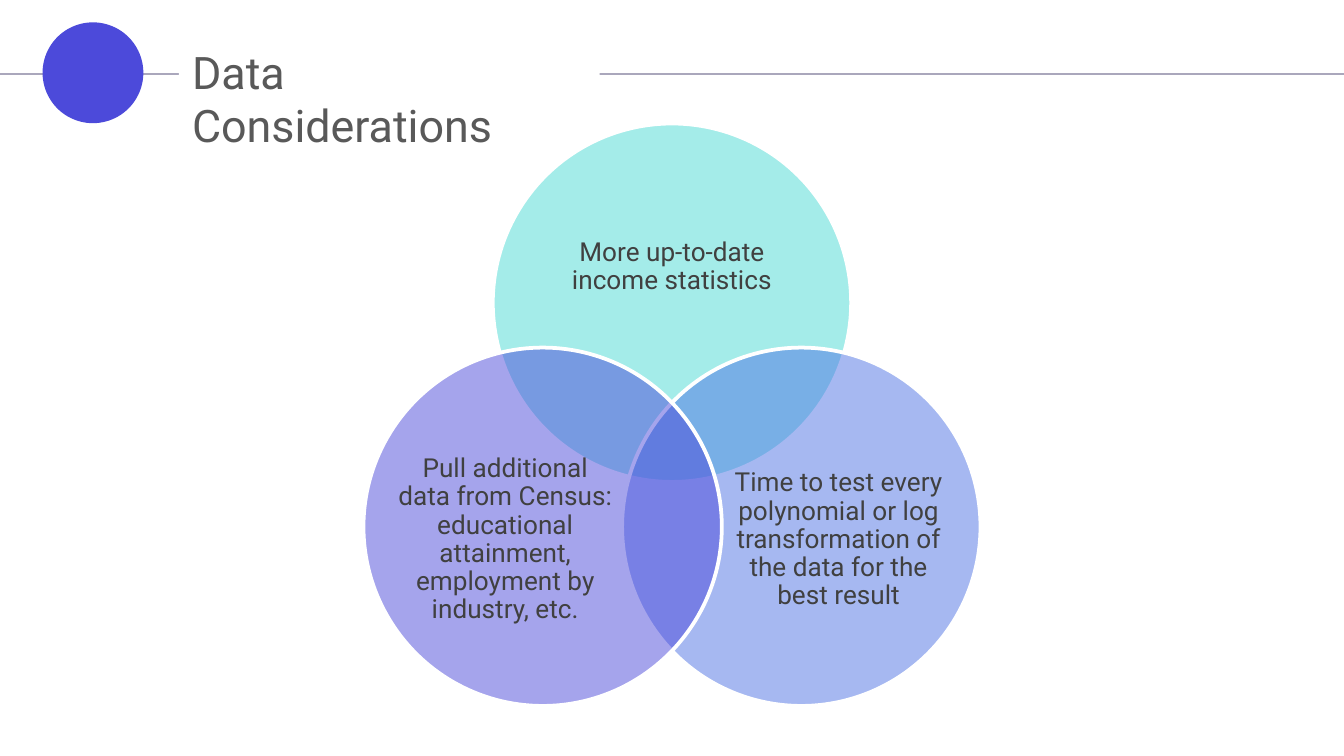
from dataclasses import dataclass
from math import cos, radians, sin

from lxml.etree import SubElement
from pptx import Presentation
from pptx.dml.color import RGBColor as RGB
from pptx.enum.shapes import MSO_CONNECTOR as CONN, MSO_SHAPE as SHAPE
from pptx.enum.text import MSO_ANCHOR as ANCHOR, MSO_AUTO_SIZE as AUTO, PP_ALIGN as ALIGN
from pptx.oxml.ns import qn
from pptx.util import Pt

# Content: angle from the Venn centre, fill, label size, label offset, text
TITLE = "Data Considerations"
CIRCLES = [
    (-90, "4ADAD4", (141, 86.4), (0, -19), "More up-to-date income statistics"),
    (30, "4E73E4", (115.2, 105.6), (20, 7),
     "Time to test every polynomial or log transformation of the data for the best result"),
    (150, "4C4ADA", (115.2, 105.6), (-20, 7),
     "Pull additional data from Census: educational attainment, employment by industry, etc."),
]


@dataclass(frozen=True)
class Theme:
    font: str = "Roboto"
    title_size: float = 24
    label_size: float = 14
    title: str = "595959"
    label: str = "404040"
    rule: str = "AAA7BC"
    accent: str = "4C4ADA"
    white: str = "FFFFFF"
    alpha: int = 50


THEME = Theme()
WIDTH, HEIGHT = 720, 405
RULE_Y = 39.6
VENN_X, VENN_Y, VENN_RADIUS, DIAMETER = 360, 242.2, 80, 192


def centred(cx, cy, w, h):
    return [Pt(v) for v in (cx - w / 2, cy - h / 2, w, h)]


def add_filled(shapes, kind, box, color, outline=None, alpha=None):
    sp = shapes.add_shape(kind, *box)
    sp.shadow.inherit = False
    sp.fill.solid()
    sp.fill.fore_color.rgb = RGB.from_string(color)
    if alpha is not None:
        clr = sp.fill._xPr.find(qn("a:solidFill")).find(qn("a:srgbClr"))
        SubElement(clr, qn("a:alpha")).set("val", str(alpha * 1000))
    if outline:
        sp.line.color.rgb = RGB.from_string(outline)
        sp.line.width = Pt(2)
    else:
        sp.line.fill.background()
    return sp


def add_text(shapes, box, text, size, color):
    tf = shapes.add_textbox(*box).text_frame
    tf.word_wrap = True
    p = tf.paragraphs[0]
    p.text = text
    p.font.name, p.font.size = THEME.font, Pt(size)
    p.font.color.rgb = RGB.from_string(color)
    return tf, p


prs = Presentation()
prs.slide_width, prs.slide_height = Pt(WIDTH), Pt(HEIGHT)
s = prs.slides.add_slide(prs.slide_layouts[6])

# Header rule, dot and title
rule = s.shapes.add_connector(CONN.STRAIGHT, 0, Pt(RULE_Y), Pt(WIDTH), Pt(RULE_Y))
rule.line.color.rgb = RGB.from_string(THEME.rule)
rule.line.width = Pt(1.5)
SubElement(rule._element.spPr, qn("a:effectLst"))
add_filled(s.shapes, SHAPE.OVAL, centred(49.8, 39, 54, 54), THEME.accent)
add_filled(s.shapes, SHAPE.RECTANGLE, centred(208.5, 39, 225.4, 54), THEME.white)
tf, _ = add_text(s.shapes, centred(208.5, 38.2, 225.4, 36), TITLE,
                 THEME.title_size, THEME.title)
tf.auto_size = AUTO.SHAPE_TO_FIT_TEXT

# Venn diagram: circle centres evenly spaced around one point
venn = s.shapes.add_group_shape().shapes
for angle, color, label_box, (dx, dy), text in CIRCLES:
    cx = VENN_X + VENN_RADIUS * cos(radians(angle))
    cy = VENN_Y + VENN_RADIUS * sin(radians(angle))
    add_filled(venn, SHAPE.OVAL, centred(cx, cy, DIAMETER, DIAMETER), color,
               THEME.white, THEME.alpha)
    tf, p = add_text(venn, centred(cx + dx, cy + dy, *label_box), text,
                     THEME.label_size, THEME.label)
    tf.margin_left = tf.margin_right = tf.margin_top = tf.margin_bottom = 0
    tf.vertical_anchor = ANCHOR.MIDDLE
    p.alignment, p.line_spacing = ALIGN.CENTER, 0.9

prs.save("out.pptx")
